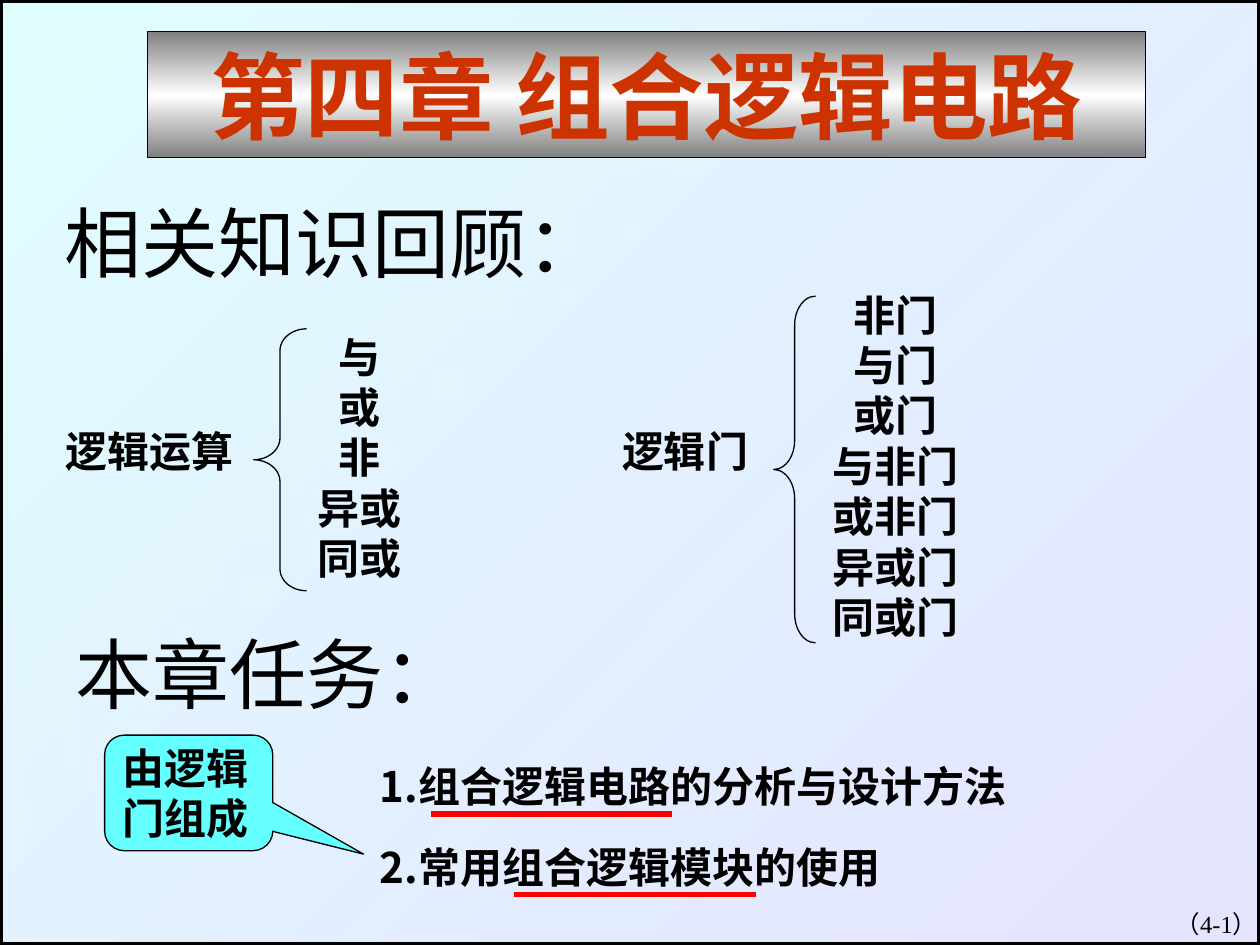
from lxml import etree
from pptx import Presentation
from pptx.dml.color import RGBColor
from pptx.enum.shapes import MSO_CONNECTOR, MSO_SHAPE as SHAPE
from pptx.enum.text import MSO_ANCHOR as ANCHOR, MSO_AUTO_SIZE as FIT, PP_ALIGN as ALIGN
from pptx.oxml.ns import qn
from pptx.util import Cm, Pt

SANS, SERIF = "Noto Sans CJK SC", "Times New Roman"


def color(code):
    return RGBColor.from_string(code)


def write(holder, text, size=24, font=SANS, ink="000000", bold=True, align=ALIGN.LEFT,
          anchor=ANCHOR.MIDDLE, wrap=False, fit=FIT.NONE, spacing=1.2):
    frame = holder.text_frame
    frame.text = text
    frame.word_wrap = wrap
    frame.auto_size = fit
    frame.vertical_anchor = anchor
    for line in frame.paragraphs:
        line.alignment = align
        line.line_spacing = Pt(round(size * spacing, 1))
        for run in line.runs:
            run.font.size = Pt(size)
            run.font.bold = bold
            run.font.name = font
            run.font.color.rgb = color(ink)
            east_asian = etree.SubElement(run._r.get_or_add_rPr(), qn("a:ea"))
            east_asian.set("typeface", SANS)


deck = Presentation()
deck.slide_width, deck.slide_height = Cm(25.4), Cm(19.05)
slide = deck.slides.add_slide(deck.slide_layouts[6])
shapes = slide.shapes

# Framed backdrop and title banner, both with gradients: (position, colour, opacity)
backdrop = shapes.add_shape(SHAPE.RECTANGLE, 0, 0, deck.slide_width, deck.slide_height)
banner = shapes.add_shape(SHAPE.RECTANGLE, Cm(2.97), Cm(0.64), Cm(20.12), Cm(2.54))
for panel, border, angle, stops in [
    (backdrop, 3, 45, [(0, "CCFFFF", 59), (100, "CCCCFF", 51)]),
    (banner, 0.75, 90, [(0, "808080", 100), (50, "FFFFFF", 100), (100, "808080", 100)]),
]:
    panel.shadow.inherit = False
    panel.line.color.rgb = color("000000")
    panel.line.width = Pt(border)
    panel.fill.gradient()
    panel.fill.gradient_angle = 360 - angle
    stop_list = panel._element.spPr.find(qn("a:gradFill")).find(qn("a:gsLst"))
    for old_stop in list(stop_list):
        stop_list.remove(old_stop)
    for position, code, opacity in stops:
        stop = etree.SubElement(stop_list, qn("a:gs"), pos=str(position * 1000))
        shade = etree.SubElement(stop, qn("a:srgbClr"), val=code)
        if opacity < 100:
            etree.SubElement(shade, qn("a:alpha"), val=str(opacity * 1000))
write(banner, "第四章 组合逻辑电路", size=54, ink="CC3300", align=ALIGN.CENTER)

# Page number, headings, labels, lists and tasks
heading = dict(size=44, bold=False, fit=FIT.SHAPE_TO_FIT_TEXT)
label = dict(font=SERIF, anchor=ANCHOR.TOP, fit=FIT.SHAPE_TO_FIT_TEXT)
listing = dict(align=ALIGN.CENTER, fit=FIT.SHAPE_TO_FIT_TEXT)
operations = ["与", "或", "非", "异或", "同或"]
gates = ["非门", "与门", "或门", "与非门", "或非门", "异或门", "同或门"]
tasks = ["1.组合逻辑电路的分析与设计方法", "2.常用组合逻辑模块的使用"]
for left, top, width, height, text, style in [
    (20.32, 18.21, 5.28, 1.27, "（4-1）",
     dict(size=14, font=SERIF, bold=False, align=ALIGN.RIGHT, anchor=ANCHOR.TOP, wrap=True)),
    (1.06, 3.81, 12.06, 2.13, "相关知识回顾：",
     dict(heading, font=SERIF, anchor=ANCHOR.TOP, wrap=True)),
    (1.07, 8.46, 3.9, 1.27, "逻辑运算", label),
    (12.29, 8.46, 3.1, 1.27, "逻辑门", label),
    (6.04, 6.55, 2.4, 5.33, "\n".join(operations), dict(listing, font=SERIF)),
    (16.42, 5.7, 3.25, 7.37, "\n".join(gates), listing),
    (1.27, 12.5, 8.28, 2.13, "本章任务：", dict(heading, align=ALIGN.CENTER)),
    (7.41, 14.6, 14.91, 3.5, "\n".join(tasks),
     dict(wrap=True, fit=FIT.SHAPE_TO_FIT_TEXT, spacing=1.92)),
]:
    box = shapes.add_textbox(Cm(left), Cm(top), Cm(width), Cm(height))
    write(box, text, **style)

# Braces in front of the two lists
for left, top, width, height, curve in [
    (5.11, 6.63, 1.07, 5.28, 0.41),
    (15.6, 5.97, 0.84, 6.99, 0.7),
]:
    brace = shapes.add_shape(SHAPE.LEFT_BRACE, Cm(left), Cm(top), Cm(width), Cm(height))
    brace.adjustments[0] = curve
    brace.adjustments[1] = 0.5
    brace.shadow.inherit = False
    brace.fill.background()
    brace.line.color.rgb = color("000000")
    brace.line.width = Pt(0.75)

# Callout pointing at the tasks
callout = shapes.add_shape(SHAPE.ROUNDED_RECTANGULAR_CALLOUT,
                           Cm(2.11), Cm(14.82), Cm(3.39), Cm(2.33))
for index, value in enumerate([1.04, 0.53, 0.17]):
    callout.adjustments[index] = value
callout.shadow.inherit = False
callout.fill.solid()
callout.fill.fore_color.rgb = color("66FFFF")
callout.line.color.rgb = color("000000")
callout.line.width = Pt(0.75)
write(callout, "由逻辑\n门组成")

# Red underlines below the key terms
for start, end, level in [(8.68, 13.55, 16.41), (10.37, 15.24, 18.03)]:
    underline = shapes.add_connector(MSO_CONNECTOR.STRAIGHT,
                                     Cm(start), Cm(level), Cm(end), Cm(level))
    underline.line.color.rgb = color("FF0000")
    underline.line.width = Pt(3)
    etree.SubElement(underline._element.spPr, qn("a:effectLst"))

deck.save("out.pptx")
